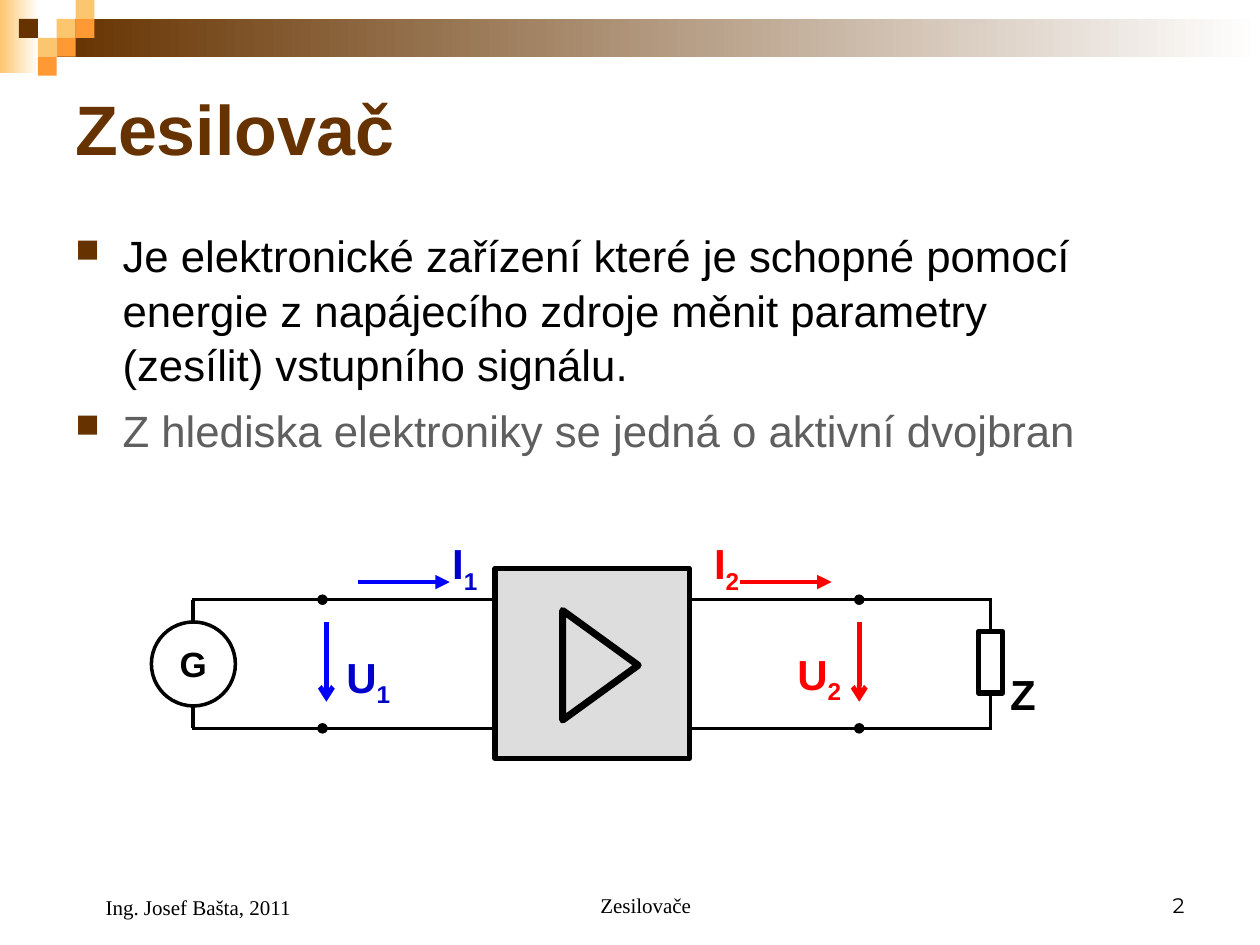
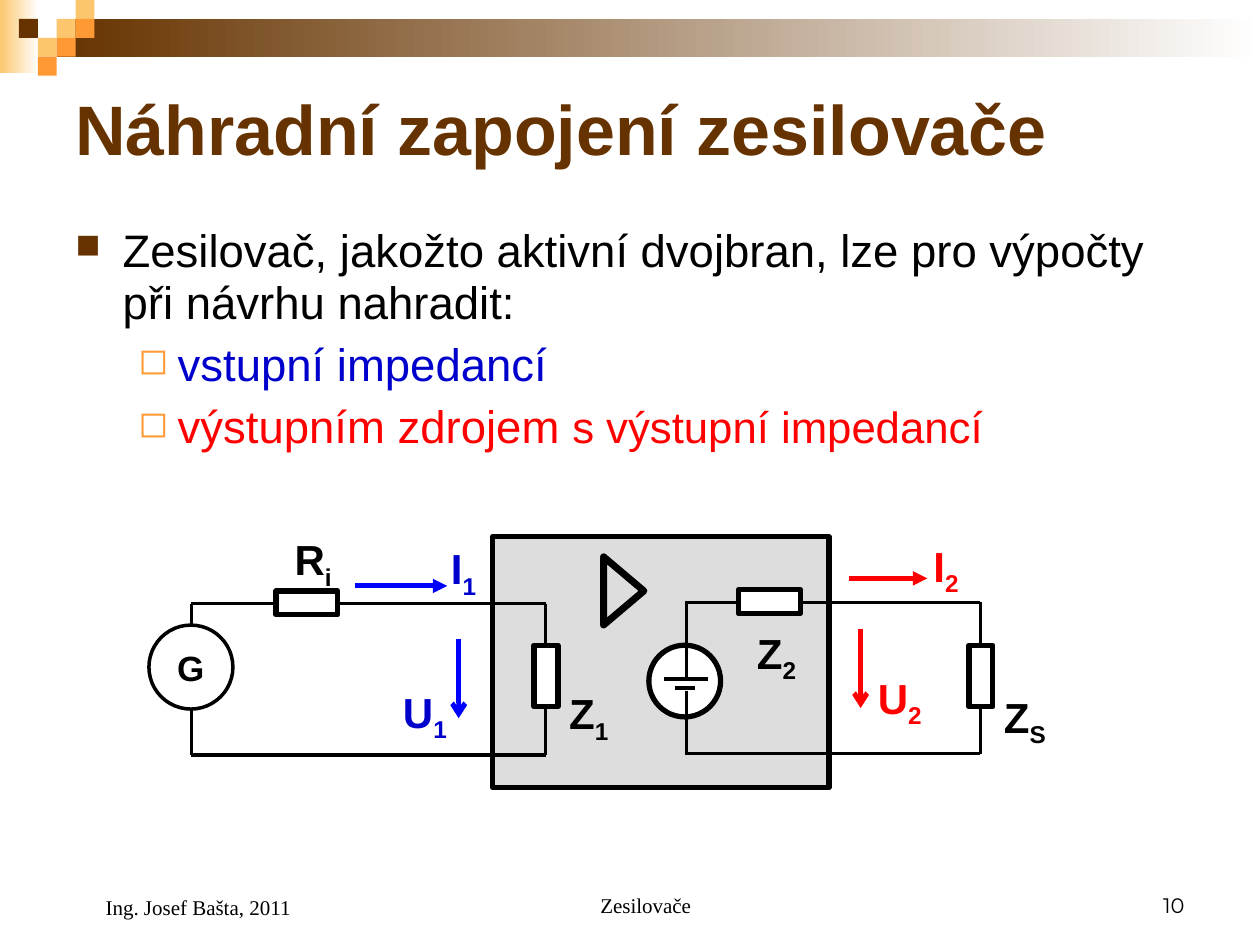
from lxml.etree import SubElement
from pptx import Presentation
from pptx.dml.color import RGBColor
from pptx.enum.shapes import MSO_CONNECTOR, MSO_SHAPE
from pptx.enum.text import MSO_ANCHOR, PP_ALIGN
from pptx.oxml.ns import qn
from pptx.util import Pt

TONES = {
    "black": "000000", "white": "FFFFFF", "gray": "DDDDDD", "slate": "5F5F5F",
    "brown": "663300", "sand": "FCC66E", "orange": "FF9933",
    "blue": "0000FF", "navy": "0000CC", "red": "FF0000",
}

WIDE, HIGH = 720, 540
CELL = 10.8
BARS = [((0, 0, 22, 42), "sand"), ((3 * CELL, CELL, WIDE - 3 * CELL, 2 * CELL), "brown")]
TILES = [
    (3, 1, "sand"), (4, 0, "sand"), (4, 1, "orange"), (2, 2, "sand"),
    (1, 1, "brown"), (3, 2, "orange"), (2, 3, "orange"),
]
TITLE = (36, 36, 648, 74)
BODY = (36, 126, 648, 142)
AUTHOR = ((53.3, 492, 160, 37), "Ing. Josef Bašta, 2011", "Times New Roman", PP_ALIGN.LEFT)
TOPIC = ((263.5, 492, 211, 36), "Zesilovače", "Times New Roman", PP_ALIGN.CENTER)
PAGE = (516, 492, 168, 36)

LEVELS = [
    {"mark": "■", "tint": "brown", "scale": 75, "left": 27, "hang": 27},
    {"mark": "◻", "tint": "orange", "scale": 80, "left": 58.5, "hang": 22.5},
]
KINDS = {
    "case": (MSO_SHAPE.RECTANGLE, "gray", 3),
    "amp": (MSO_SHAPE.ISOSCELES_TRIANGLE, None, 4),
    "load": (MSO_SHAPE.RECTANGLE, "white", 3),
    "gen": (MSO_SHAPE.OVAL, "white", 2),
    "source": (MSO_SHAPE.OVAL, "white", 3),
}
LOAD, GEN, SOURCE = (13.7, 35.3), (48, 48), (41, 41)

RAILS = (342.7, 416.2)
PLAIN = {
    "title": "Zesilovač", "page": "2", "lead": 1.04, "size": 25,
    "points": [
        (0, [("Je elektronické zařízení které je schopné pomocí energie z napájecího "
              "zdroje měnit parametry\n(zesílit) vstupního signálu.", {})]),
        (0, [("Z hlediska elektroniky se jedná o aktivní dvojbran", {"tone": "slate"})]),
    ],
    "case": ("case", (338.4, 379.1), (110.9, 108.7), 0),
    "wires": [
        wire for y in RAILS for wire in (
            (184.3, y, 282.2, y, "oval", None), (393.1, y, 491, y, None, "oval"),
            (109.5, y, 185, y), (491, y, 566.6, y))
    ] + [(x, RAILS[0], x, RAILS[1]) for x in (110.2, 566)],
    "arrows": [
        (186.5, 355.7, 186.5, 401, "blue", "arrow"),
        (491, 355.7, 491, 401, "red", "arrow"),
        (204.5, 332.6, 257, 332.6, "blue", "triangle"),
        (422.6, 332.6, 475.2, 332.6, "red", "triangle"),
    ],
    "parts": [
        ("amp", (343.1, 380.2), (62.6, 43.2), 90),
        ("gen", (110.5, 379.4), GEN, 0),
        ("load", (566, 378.4), LOAD, 0),
    ],
    "marks": [],
    "labels": [
        (190.8, 368.5, "U", "1", "navy"), (448.6, 367, "U", "2", "red"),
        (251.3, 303.7, "I", "1", "navy"), (401, 303.7, "I", "2", "red"),
        (570.2, 378.6, "Z", "", "black"),
    ],
}
MODEL = {
    "title": "Náhradní zapojení zesilovače", "page": "10", "lead": 0.94, "size": 26,
    "points": [
        (0, [("Zesilovač, jakožto aktivní dvojbran, lze pro výpočty při návrhu nahradit:", {})]),
        (1, [("vstupní impedancí", {"tone": "navy"})]),
        (1, [("výstupním zdrojem", {"tone": "red"}),
             (" s výstupní impedancí", {"tone": "red", "size": 25})]),
    ],
    "case": ("case", (377.6, 378.4), (192.2, 143.3), 0),
    "wires": [
        (109, 431.3, 312, 431.3), (109, 344.9, 312, 344.9),
        (109.4, 344.9, 109.4, 431.3), (311.8, 344.9, 311.8, 431.3),
        (391.7, 430.6, 560.2, 430.6), (391.7, 344.2, 560.2, 344.2),
        (560.2, 344.2, 560.2, 430.6),
    ],
    "arrows": [
        (262.1, 365, 262.1, 410.4, "blue", "arrow"),
        (491.8, 359.3, 491.8, 404.6, "red", "arrow"),
        (203, 334.8, 255.6, 334.8, "blue", "triangle"),
        (485.3, 330.5, 529.9, 330.5, "red", "triangle"),
    ],
    "parts": [
        ("amp", (356.4, 337.7), (38.9, 23), 90),
        ("gen", (109.1, 381.2), GEN, 0),
        ("load", (312, 386.3), LOAD, 0),
        ("load", (175.3, 344.5), LOAD, 90),
        ("source", (391.3, 389.2), SOURCE, 0),
        ("load", (560.5, 386.3), LOAD, 0),
        ("load", (439.6, 343.8), LOAD, 90),
    ],
    "marks": [
        (392.2, 394.6, 392.2, 430.6), (379.4, 388.1, 404.6, 388.1),
        (385.9, 393.1, 397.4, 393.1), (392.2, 344.2, 392.2, 388.1),
    ],
    "labels": [
        (223.2, 388.6, "U", "1", "navy"), (250.6, 306.6, "I", "1", "navy"),
        (161.3, 301.5, "R", "i", "black"), (318.2, 389.4, "Z", "1", "black"),
        (494.6, 380.7, "U", "2", "red"), (526.3, 305.1, "I", "2", "red"),
        (566.6, 391.5, "Z", "S", "black"), (425.5, 354.8, "Z", "2", "black"),
    ],
}


def hue(tone):
    return RGBColor.from_string(TONES[tone])


def place(box):
    return [Pt(n) for n in box]


def style(run, size, tone, font, bold, low=False):
    run.font.size = Pt(size)
    run.font.name = font
    run.font.bold = bold
    run.font.color.rgb = hue(tone)
    if low:
        run._r.get_or_add_rPr().set("baseline", "-25000")


def bullet(para, level):
    look = LEVELS[level]
    props = para._p.get_or_add_pPr()
    props.set("marL", str(Pt(look["left"])))
    props.set("indent", str(-Pt(look["hang"])))
    tint = SubElement(props, qn("a:buClr"))
    SubElement(tint, qn("a:srgbClr")).set("val", TONES[look["tint"]])
    SubElement(props, qn("a:buSzPct")).set("val", str(look["scale"] * 1000))
    SubElement(props, qn("a:buChar")).set("char", look["mark"])


def write(frame, lines, size=24, tone="black", font="Arial", bold=False,
          align=PP_ALIGN.LEFT, anchor=MSO_ANCHOR.TOP, lead=None, gap=0):
    frame.word_wrap = True
    frame.vertical_anchor = anchor
    for i, (level, runs) in enumerate(lines):
        para = frame.paragraphs[0] if i == 0 else frame.add_paragraph()
        if level is not None:
            bullet(para, level)
        para.alignment = align
        if lead:
            para.line_spacing = lead
        if i:
            para.space_before = Pt(gap)
        for text, extra in runs:
            for j, part in enumerate(text.split("\n")):
                if j:
                    para.add_line_break()
                run = para.add_run()
                run.text = part
                style(run, **{"size": size, "tone": tone, "font": font, "bold": bold, **extra})


def label(slide, box, text, **form):
    lines = text if isinstance(text, list) else [(None, [(text, {})])]
    write(slide.shapes.add_textbox(*place(box)).text_frame, lines, **form)


def block(slide, kind, box, fill=None, width=0):
    shape = slide.shapes.add_shape(kind, *place(box))
    shape.shadow.inherit = False
    if fill:
        shape.fill.solid()
        shape.fill.fore_color.rgb = hue(fill)
    else:
        shape.fill.background()
    if width:
        shape.line.color.rgb = hue("black")
        shape.line.width = Pt(width)
    else:
        shape.line.fill.background()
    return shape


def part(slide, name, mid, size, turn):
    kind, fill, width = KINDS[name]
    box = (mid[0] - size[0] / 2, mid[1] - size[1] / 2, *size)
    shape = block(slide, kind, box, fill, width)
    shape.rotation = turn
    if name == "gen":
        write(shape.text_frame, [(None, [("G", {})])], size=20, bold=True,
              align=PP_ALIGN.CENTER, anchor=MSO_ANCHOR.MIDDLE)


def wire(slide, x1, y1, x2, y2, head=None, tail=None, tone="black", width=2):
    line = slide.shapes.add_connector(MSO_CONNECTOR.STRAIGHT, *place((x1, y1, x2, y2)))
    line.line.color.rgb = hue(tone)
    line.line.width = Pt(width)
    for tag, tip in (("a:headEnd", head), ("a:tailEnd", tail)):
        if tip:
            SubElement(line.line._get_or_add_ln(), qn(tag)).set("type", tip)
    SubElement(line._element.spPr, qn("a:effectLst"))


def frame(slide, title, page):
    for box, tone in BARS:
        bar = block(slide, MSO_SHAPE.RECTANGLE, box)
        bar.fill.gradient()
        bar.fill.gradient_angle = 0
        for stop, shade in zip(bar.fill.gradient_stops, (tone, "white")):
            stop.color.rgb = hue(shade)
    for col, row, tone in TILES:
        block(slide, MSO_SHAPE.RECTANGLE, (col * CELL, row * CELL, CELL, CELL), tone)
    label(slide, TITLE, title, size=40, tone="brown", bold=True, anchor=MSO_ANCHOR.MIDDLE)
    number = (PAGE, page, "Montserrat", PP_ALIGN.RIGHT)
    for box, text, font, align in (TOPIC, number, AUTHOR):
        label(slide, box, text, size=12, font=font, align=align, anchor=MSO_ANCHOR.BOTTOM)


def draw(slide, data):
    frame(slide, data["title"], data["page"])
    label(slide, BODY, data["points"], size=data["size"], lead=data["lead"], gap=6.3)
    part(slide, *data["case"])
    for ends in data["wires"]:
        wire(slide, *ends)
    for *ends, tone, tip in data["arrows"]:
        wire(slide, *ends, tail=tip, tone=tone, width=2.75)
    for item in data["parts"]:
        part(slide, *item)
    for ends in data["marks"]:
        wire(slide, *ends)
    for x, y, sign, sub, tone in data["labels"]:
        runs = [(sign, {})] + ([(sub, {"low": True})] if sub else [])
        label(slide, (x, y, 45, 40), [(None, runs)], tone=tone, bold=True)


def main():
    deck = Presentation()
    deck.slide_width, deck.slide_height = Pt(WIDE), Pt(HIGH)
    for data in (PLAIN, MODEL):
        draw(deck.slides.add_slide(deck.slide_layouts[6]), data)
    deck.save("out.pptx")


if __name__ == "__main__":
    main()
